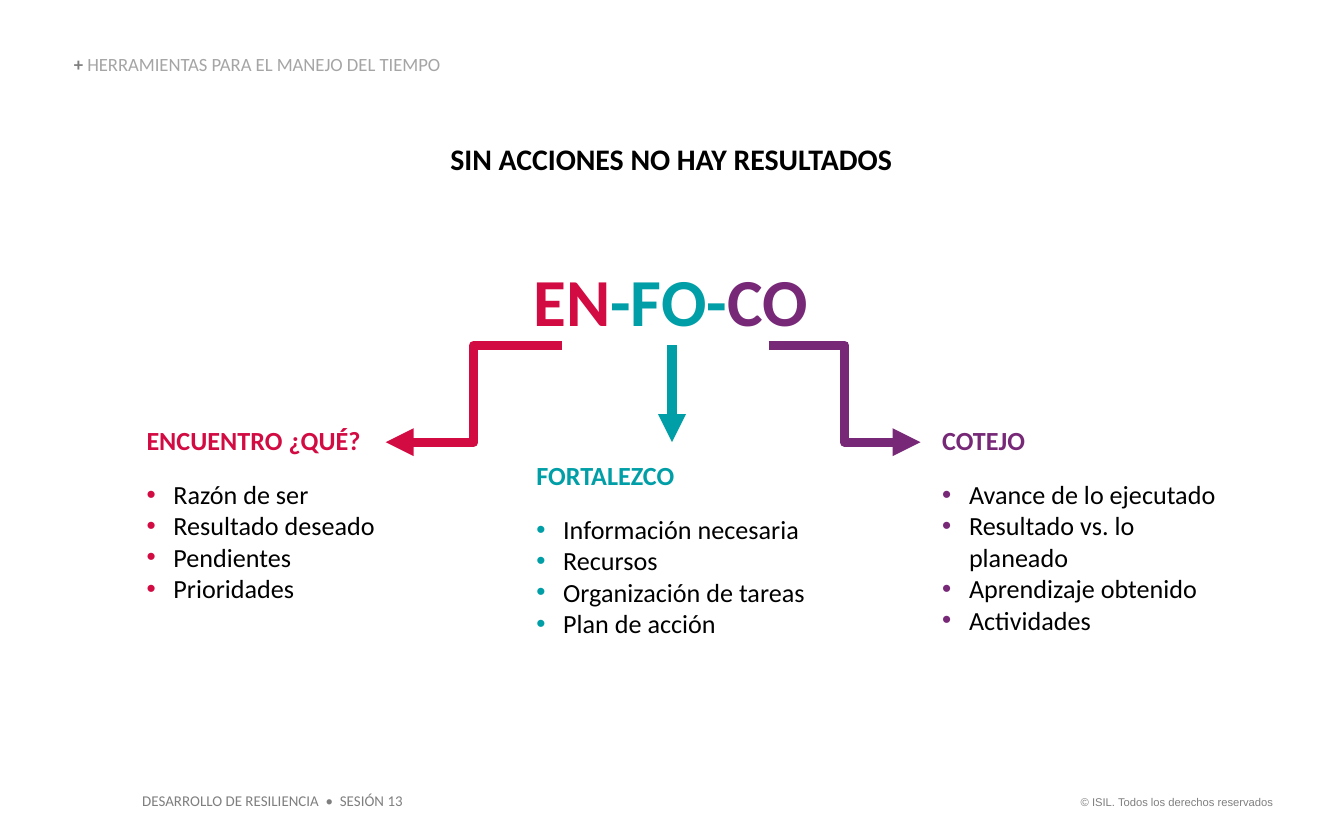
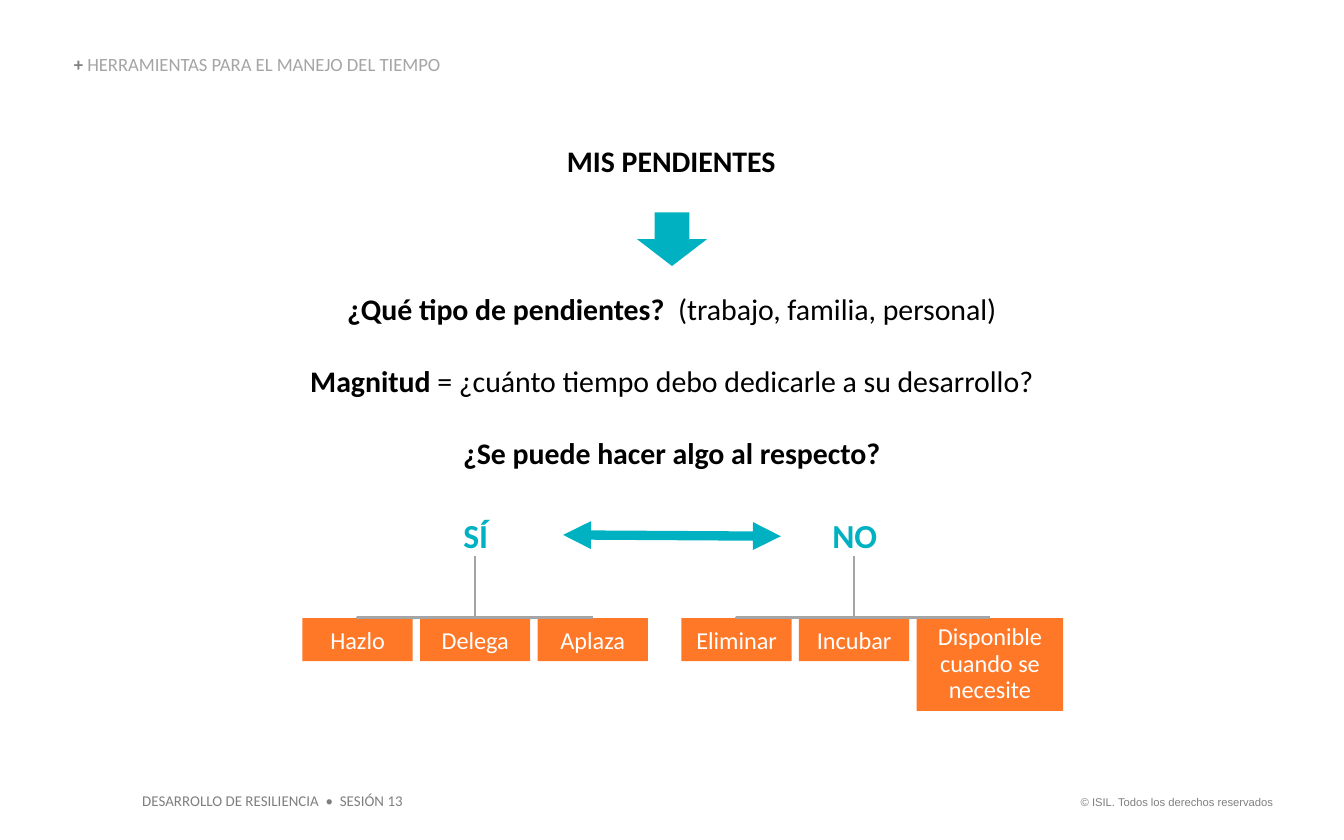
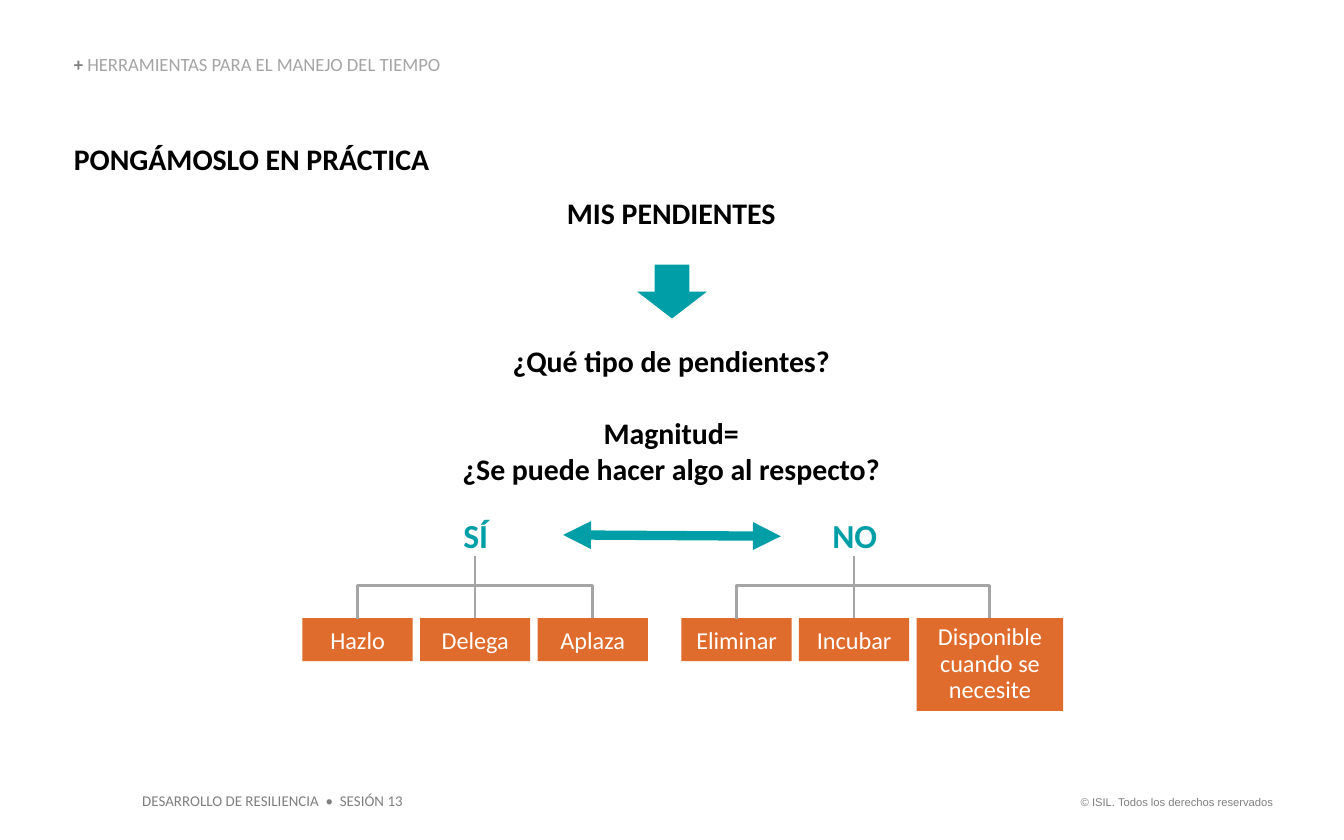
from lxml.etree import SubElement
from pptx import Presentation
from pptx.dml.color import RGBColor
from pptx.enum.shapes import MSO_CONNECTOR, MSO_SHAPE
from pptx.enum.text import MSO_ANCHOR, MSO_AUTO_SIZE, PP_ALIGN
from pptx.oxml.ns import qn
from pptx.util import Inches, Pt

COLORS = {
    "black": "000000", "white": "FFFFFF", "gray": "7F7F7F", "light_gray": "A5A5A5",
    "red": "D30B43", "teal": "009FA7", "purple": "772978",
    "cyan": "00B1C2", "orange": "FE7828", "dark_orange": "DF6B2C",
}
ALIGN = {"left": PP_ALIGN.LEFT, "center": PP_ALIGN.CENTER, "right": PP_ALIGN.RIGHT}
PADDED = (0.1, 0.05)


def rgb(name):
    return RGBColor.from_string(COLORS[name])


def add_bullet(para, color, indent=0.2):
    props = para._p.get_or_add_pPr()
    props.set("marL", str(Inches(indent)))
    props.set("indent", str(-Inches(indent)))
    bullet_color = SubElement(props, qn("a:buClr"))
    SubElement(bullet_color, qn("a:srgbClr"), val=COLORS[color])
    SubElement(props, qn("a:buFont"), typeface="Arial")
    SubElement(props, qn("a:buChar"), char="•")


def write(frame, *spans, size=16, color="black", bold=False, font="Calibri",
          align="left", before=0, line=None, bullet=None):
    """Add a paragraph; a span is a string or a pair of string and overrides."""
    para = frame.paragraphs[0]
    if para.runs:
        para = frame.add_paragraph()
    if bullet:
        add_bullet(para, bullet)
    para.alignment = ALIGN[align]
    if before:
        para.space_before = Pt(before)
    if line:
        para.line_spacing = line
    for span in spans:
        text, own = (span, {}) if isinstance(span, str) else span
        run = para.add_run()
        run.text = text
        run.font.name = font
        run.font.size = Pt(size)
        run.font.bold = own.get("bold", bold)
        run.font.color.rgb = rgb(own.get("color", color))


def set_frame(shape, padding=(0, 0), anchor=MSO_ANCHOR.TOP, grow=True):
    frame = shape.text_frame
    frame.word_wrap = True
    frame.auto_size = MSO_AUTO_SIZE.SHAPE_TO_FIT_TEXT if grow else MSO_AUTO_SIZE.NONE
    frame.vertical_anchor = anchor
    frame.margin_left = frame.margin_right = Inches(padding[0])
    frame.margin_top = frame.margin_bottom = Inches(padding[1])
    return frame


def add_text(page, box, **layout):
    return set_frame(page.shapes.add_textbox(*map(Inches, box)), **layout)


def add_block(page, kind, box, fill=None):
    shape = page.shapes.add_shape(kind, *map(Inches, box))
    shape.shadow.inherit = False
    shape.line.fill.background()
    if fill:
        shape.fill.solid()
        shape.fill.fore_color.rgb = rgb(fill)
    else:
        shape.fill.background()
    return shape


def add_line(page, start, end, color, width, kind=MSO_CONNECTOR.STRAIGHT, heads=()):
    """Draw a connector; heads may hold headEnd (start) and tailEnd (end)."""
    line = page.shapes.add_connector(kind, *map(Inches, (*start, *end)))
    line.line.color.rgb = rgb(color)
    line.line.width = Pt(width)
    for head in heads:
        SubElement(line.line._get_or_add_ln(), qn(f"a:{head}"), type="triangle")
    SubElement(line._element.spPr, qn("a:effectLst"))
    return line


def add_bracket(page, left, right, bottom, rise):
    """Join two points of equal height with an elbow turned a quarter."""
    middle, half, thin = (left + right) / 2, (right - left) / 2, 0.01
    line = add_line(page, (middle - thin / 2, bottom - half),
                    (middle + thin / 2, bottom + half),
                    "light_gray", 1.5, MSO_CONNECTOR.ELBOW)
    props = line._element.spPr
    props.find(qn("a:xfrm")).set("rot", str(90 * 60000))
    guides = props.find(qn("a:prstGeom")).find(qn("a:avLst"))
    SubElement(guides, qn("a:gd"), name="adj1",
               fmla=f"val {round(-rise / thin * 100000)}")


def add_page(deck):
    """Add a slide with the header and footers that all slides share."""
    page = deck.slides.add_slide(deck.slide_layouts[6])
    write(add_text(page, (7.88, 5.87, 1.69, 0.2), padding=PADDED),
          "© ISIL. Todos los derechos reservados",
          size=6, font="Arial", color="gray", align="right")
    write(add_text(page, (0.96, 5.84, 2.14, 0.24), padding=PADDED),
          "DESARROLLO DE RESILIENCIA  •  SESIÓN 13", size=8, color="gray")
    write(add_text(page, (0.55, 0.41, 3.23, 0.15), anchor=MSO_ANCHOR.BOTTOM),
          ("+ ", {"color": "gray", "bold": True}),
          "HERRAMIENTAS PARA EL MANEJO DEL TIEMPO",
          size=10, color="light_gray", line=0.9)
    return page


def add_title(page, text, left, align):
    write(add_text(page, (left, 1.05, 4.71, 0.27)), text, bold=True, align=align)


def add_topic(page, box, heading, items, color):
    frame = add_text(page, box)
    write(frame, heading, size=14, color=color, bold=True)
    for index, item in enumerate(items):
        write(frame, item, size=14, bullet=color, before=0 if index else 12)


def add_focus_slide(deck):
    page = add_page(deck)
    add_title(page, "SIN ACCIONES NO HAY RESULTADOS", 2.64, "center")
    write(add_text(page, (3.87, 1.88, 2.26, 0.71), padding=PADDED),
          ("EN", {"color": "red"}), ("-FO-", {"color": "teal"}),
          ("CO", {"color": "purple"}), size=36, bold=True)

    top, bottom = 2.57, 3.29
    for start, end, color, kind in (
        (4.18, 2.87, "red", MSO_CONNECTOR.ELBOW),
        (5, 5, "teal", MSO_CONNECTOR.STRAIGHT),
        (5.72, 6.85, "purple", MSO_CONNECTOR.ELBOW),
    ):
        add_line(page, (start, top), (end, bottom), color, 5, kind, ["tailEnd"])

    add_topic(page, (1.09, 3.16, 1.72, 1.35), "ENCUENTRO ¿QUÉ?",
              ["Razón de ser", "Resultado deseado", "Pendientes", "Prioridades"], "red")
    add_topic(page, (3.99, 3.42, 2.02, 1.35), "FORTALEZCO",
              ["Información necesaria", "Recursos", "Organización de tareas",
               "Plan de acción"], "teal")
    add_topic(page, (7.01, 3.16, 2.19, 1.58), "COTEJO",
              ["Avance de lo ejecutado", "Resultado vs. lo planeado",
               "Aprendizaje obtenido", "Actividades"], "purple")


def add_pending(page, top, accent):
    """Place the heading of the decision tree and the arrow below it."""
    oval = add_block(page, MSO_SHAPE.OVAL, (3.19, top, 3.61, 0.29))
    write(set_frame(oval, anchor=MSO_ANCHOR.MIDDLE, grow=False),
          "MIS PENDIENTES", bold=True, align="center")
    add_block(page, MSO_SHAPE.DOWN_ARROW, (4.74, top + 0.53, 0.52, 0.4), accent)


def add_branch(page, left, answer, answer_box, options, accent, fill, rise):
    """Place an answer, its row of options and the lines between them."""
    write(add_text(page, answer_box), answer,
          size=18, color=accent, bold=True, align="center")
    top, step, width = 4.6, 0.875, 0.82
    centers = []
    for index, option in enumerate(options):
        is_long = " " in option
        box_width, height = (1.09, 0.69) if is_long else (width, 0.32)
        x = left + index * step
        block = add_block(page, MSO_SHAPE.RECTANGLE, (x, top, box_width, height), fill)
        write(set_frame(block, padding=PADDED), option, size=13, color="white",
              align="center", line=0.9 if is_long else None)
        centers.append(x + box_width / 2)
    add_bracket(page, centers[0], centers[-1], top, rise)
    add_line(page, (centers[1], 4.14), (centers[1], top), "light_gray", 1.5)


def add_decision(page, accent, fill, rise):
    add_line(page, (4.19, 3.98), (5.81, 3.99), accent, 5, heads=["headEnd", "tailEnd"])
    add_branch(page, 2.25, "SÍ", (3.3, 3.83, 0.48, 0.3),
               ["Hazlo", "Delega", "Aplaza"], accent, fill, rise)
    add_branch(page, 5.07, "NO", (6.19, 3.83, 0.34, 0.3),
               ["Eliminar", "Incubar", "Disponible cuando se necesite"],
               accent, fill, rise)


def add_questions_slide(deck):
    page = add_page(deck)
    add_pending(page, 1.05, "cyan")
    frame = add_text(page, (2.12, 2.16, 5.76, 1.35))
    plain = {"bold": False}
    for index, spans in enumerate((
        ["¿Qué tipo de pendientes?  ", ("(trabajo, familia, personal)", plain)],
        ["Magnitud ", ("= ¿cuánto tiempo debo dedicarle a su desarrollo?", plain)],
        ["¿Se puede hacer algo al respecto?"],
    )):
        write(frame, *spans, bold=True, align="center", before=19.5 if index else 0)
    add_decision(page, "cyan", "orange", rise=0)


def add_practice_slide(deck):
    page = add_page(deck)
    add_title(page, "PONGÁMOSLO EN PRÁCTICA", 0.55, "left")
    add_pending(page, 1.44, "teal")
    frame = add_text(page, (1.58, 2.55, 6.83, 1.08))
    for text, before in (("¿Qué tipo de pendientes?", 0), ("Magnitud=", 19.5),
                         ("¿Se puede hacer algo al respecto?", 0)):
        write(frame, text, bold=True, align="center", before=before)
    add_decision(page, "teal", "dark_orange", rise=0.24)


def main():
    deck = Presentation()
    deck.slide_width, deck.slide_height = Inches(10), Inches(6.25)
    add_focus_slide(deck)
    add_questions_slide(deck)
    add_practice_slide(deck)
    deck.save("out.pptx")


if __name__ == "__main__":
    main()
